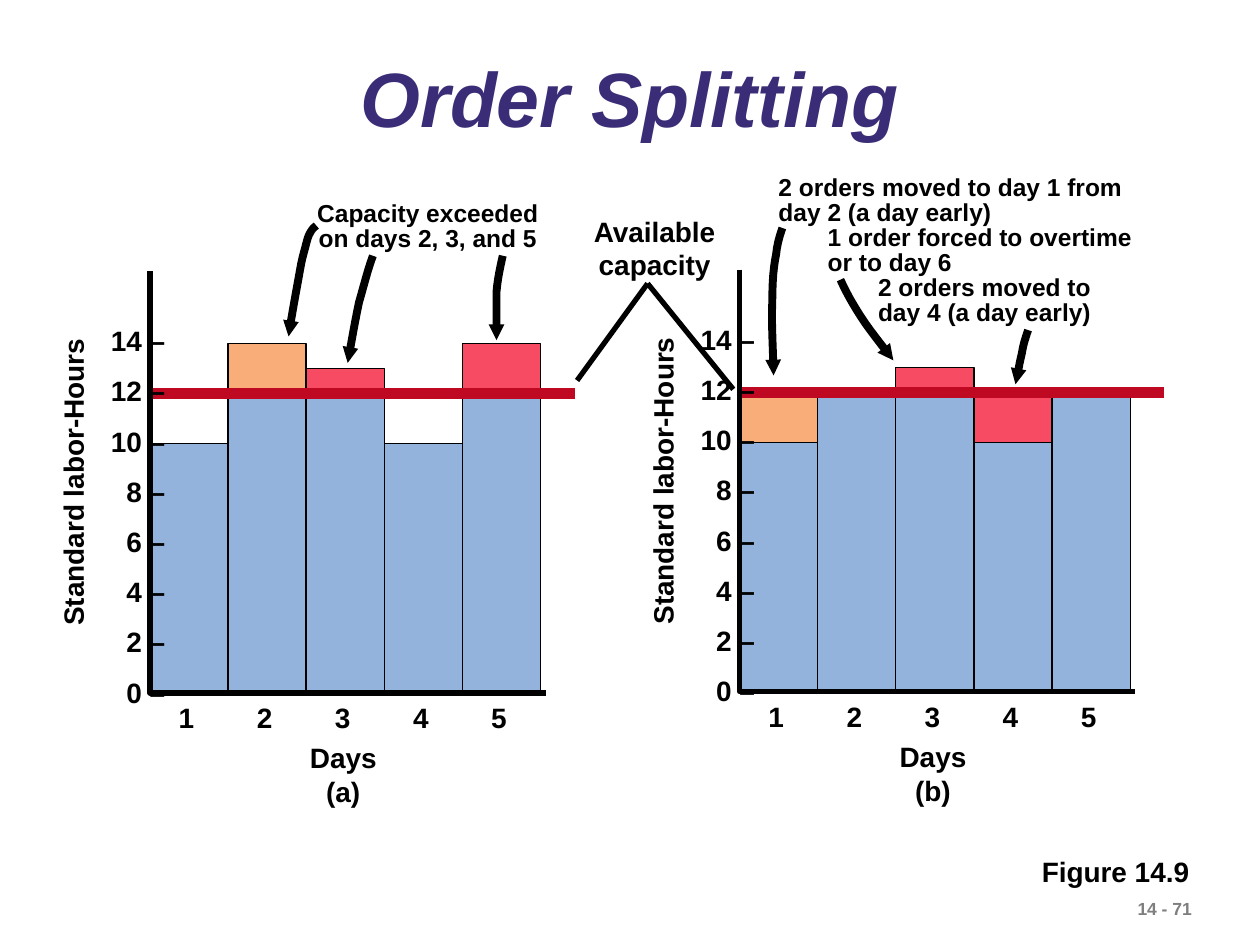
from dataclasses import dataclass

from lxml.etree import SubElement
from pptx import Presentation
from pptx.dml.color import RGBColor
from pptx.enum.shapes import MSO_CONNECTOR, MSO_SHAPE
from pptx.enum.text import MSO_ANCHOR, MSO_AUTO_SIZE, PP_ALIGN
from pptx.oxml.ns import qn
from pptx.util import Inches, Pt


@dataclass(frozen=True)
class Theme:
    font: str = "Arial"
    title: RGBColor = RGBColor(0x3A, 0x2C, 0x76)
    ink: RGBColor = RGBColor(0, 0, 0)
    muted: RGBColor = RGBColor(0x7F, 0x7F, 0x7F)
    load: RGBColor = RGBColor(0x93, 0xB3, 0xDD)
    early: RGBColor = RGBColor(0xF9, 0xAD, 0x78)
    excess: RGBColor = RGBColor(0xF7, 0x4B, 0x64)
    capacity: RGBColor = RGBColor(0xBF, 0x09, 0x22)
    title_size: int = 44
    label_size: int = 16
    note_size: int = 14
    number_size: int = 10


theme = Theme()
prs = Presentation()
prs.slide_width, prs.slide_height = Inches(10), Inches(7.5)
slide = prs.slides.add_slide(prs.slide_layouts[5])


def add_label(place, lines, size=theme.label_size, color=theme.ink, align=PP_ALIGN.LEFT,
              wrap=False, spacing=None, after=0, indents=None):
    label = slide.shapes.add_textbox(*[Inches(length) for length in place])
    frame = label.text_frame
    frame.word_wrap = wrap
    frame.auto_size = MSO_AUTO_SIZE.SHAPE_TO_FIT_TEXT
    for i, line in enumerate(lines):
        paragraph = frame.paragraphs[0] if i == 0 else frame.add_paragraph()
        paragraph.text = line
        paragraph.alignment = align
        paragraph.line_spacing = spacing
        paragraph.space_after = Pt(after)
        if indents:
            paragraph._p.get_or_add_pPr().set("marL", str(Inches(indents[i])))
        paragraph.font.name = theme.font
        paragraph.font.size = Pt(size)
        paragraph.font.bold = True
        paragraph.font.color.rgb = color
    return label


def add_outline(points, width):
    corners = [(Inches(x), Inches(y)) for x, y in points]
    builder = slide.shapes.build_freeform(*corners[0])
    builder.add_line_segments(corners[1:], close=False)
    outline = builder.convert_to_shape()
    outline.shadow.inherit = False
    outline.fill.background()
    outline.line.color.rgb = theme.ink
    outline.line.width = Pt(width)
    return outline


title = slide.shapes.title
title.left, title.top, title.width, title.height = [Inches(n) for n in (0.75, 0.34, 8.5, 0.94)]
title.text_frame.text = "Order Splitting"
title.text_frame.auto_size = MSO_AUTO_SIZE.NONE
title.text_frame.vertical_anchor = MSO_ANCHOR.MIDDLE
heading = title.text_frame.paragraphs[0]
heading.alignment = PP_ALIGN.CENTER
heading.line_spacing = 0.9
heading.font.name = theme.font
heading.font.size = Pt(theme.title_size)
heading.font.bold = heading.font.italic = True
heading.font.color.rgb = theme.title

day_width, hour_height, capacity_hours = 0.62, 0.198, 12
day_loads = [(day, 0, hours, theme.load) for day, hours in enumerate((10, 12, 12, 10, 12))]
ticks = [f"{hours} –" for hours in range(14, -1, -2)]
panels = [
    ("(a)", 1.19, 5.5, [(1, 12, 14, theme.early), (2, 12, 13, theme.excess),
                        (4, 12, 14, theme.excess)]),
    ("(b)", 5.87, 5.49, [(0, 10, 12, theme.early), (2, 12, 13, theme.excess),
                         (3, 10, 12, theme.excess)]),
]
straight_lines = [
    (4.58, 3.02, 5.14, 2.25, theme.ink, 3),
    (5.14, 2.25, 5.82, 3.09, theme.ink, 3),
]

for panel, left, base, moved_orders in panels:
    for day, start, end, color in day_loads + moved_orders:
        bar = slide.shapes.add_shape(
            MSO_SHAPE.RECTANGLE, Inches(left + day * day_width), Inches(base - end * hour_height),
            Inches(day_width), Inches((end - start) * hour_height))
        bar.shadow.inherit = False
        bar.fill.solid()
        bar.fill.fore_color.rgb = color
        bar.line.color.rgb = theme.ink
        bar.line.width = Pt(0.75)
    capacity_y = base - capacity_hours * hour_height
    straight_lines.append((left, capacity_y, left + 3.37, capacity_y, theme.capacity, 6))

for x1, y1, x2, y2, color, width in straight_lines:
    connector = slide.shapes.add_connector(
        MSO_CONNECTOR.STRAIGHT, Inches(x1), Inches(y1), Inches(x2), Inches(y2))
    connector.line.color.rgb = color
    connector.line.width = Pt(width)
    SubElement(connector._element.spPr, qn("a:effectLst"))

for panel, left, base, moved_orders in panels:
    add_label((left - 0.47, base - 2.98, 0.69, 3.16), ticks, align=PP_ALIGN.RIGHT, after=9.5)
    for day in range(5):
        add_label((left + 0.13 + day * day_width, base + 0.01, 0.32, 0.37), [str(day + 1)])
    add_label((left + 1.17, base + 0.33, 0.73, 0.64), ["Days", panel], align=PP_ALIGN.CENTER)
    axis_title = add_label((left - 1.85, base - 1.86, 2.48, 0.37), ["Standard labor-Hours"])
    axis_title.rotation = 270
    add_outline([(left, base - 3.35), (left, base), (left + 3.14, base)], 3)

add_label((4.59, 1.65, 1.21, 0.64), ["Available capacity"], align=PP_ALIGN.CENTER, wrap=True)
add_label((2.37, 1.56, 2.05, 0.5), ["Capacity exceeded on days 2, 3, and 5"],
          size=theme.note_size, align=PP_ALIGN.CENTER, wrap=True, spacing=0.85)
add_label((6.08, 1.35, 3.11, 1.29),
          ["2 orders moved to day 1 from day 2 (a day early)",
           "1 order forced to overtime\vor to day 6",
           "2 orders moved to\vday 4 (a day early)"],
          size=theme.note_size, wrap=True, spacing=0.85, indents=(0, 0.39, 0.79))

arrows = [
    [(2.96, 2.03), (2.92, 2.14), (2.89, 2.26), (2.85, 2.4), (2.82, 2.54), (2.79, 2.71),
     (2.76, 2.88)],
    [(3.99, 2.03), (3.97, 2.12), (3.95, 2.21), (3.94, 2.32), (3.94, 2.44), (3.94, 2.57),
     (3.94, 2.7)],
    [(2.51, 1.79), (2.5, 1.8), (2.48, 1.81), (2.46, 1.85), (2.44, 1.88), (2.43, 1.94),
     (2.41, 2.01), (2.39, 2.08), (2.38, 2.15), (2.36, 2.26), (2.34, 2.37), (2.3, 2.59),
     (2.29, 2.67)],
    [(6.21, 1.81), (6.2, 1.84), (6.17, 1.92), (6.16, 2.02), (6.14, 2.12), (6.13, 2.23),
     (6.13, 2.39), (6.12, 2.55), (6.14, 2.86), (6.14, 2.98)],
    [(6.67, 2.22), (6.71, 2.31), (6.76, 2.4), (6.83, 2.51), (6.9, 2.62), (7, 2.74),
     (7.09, 2.86)],
    [(8.16, 2.62), (8.14, 2.68), (8.12, 2.74), (8.11, 2.81), (8.09, 2.88), (8.08, 2.97),
     (8.06, 3.05)],
]
steps = 6
for controls in arrows:
    curve = [controls[0]]
    for i in range(0, len(controls) - 1, 3):
        for step in range(1, steps + 1):
            t = step / steps
            weights = ((1 - t) ** 3, 3 * t * (1 - t) ** 2, 3 * t ** 2 * (1 - t), t ** 3)
            curve.append(tuple(sum(w * point[axis] for w, point in zip(weights, controls[i:i + 4]))
                               for axis in (0, 1)))
    arrow = add_outline(curve, 4.5)
    stroke = arrow.line._get_or_add_ln()
    SubElement(stroke, qn("a:round"))
    SubElement(stroke, qn("a:tailEnd"), type="triangle", w="sm", len="sm")

add_label((8.17, 6.73, 1.37, 0.37), ["Figure 14.9"])
add_label((8.93, 7.08, 1.14, 0.27), ["14 - 71"], size=theme.number_size, color=theme.muted)

prs.save("out.pptx")
